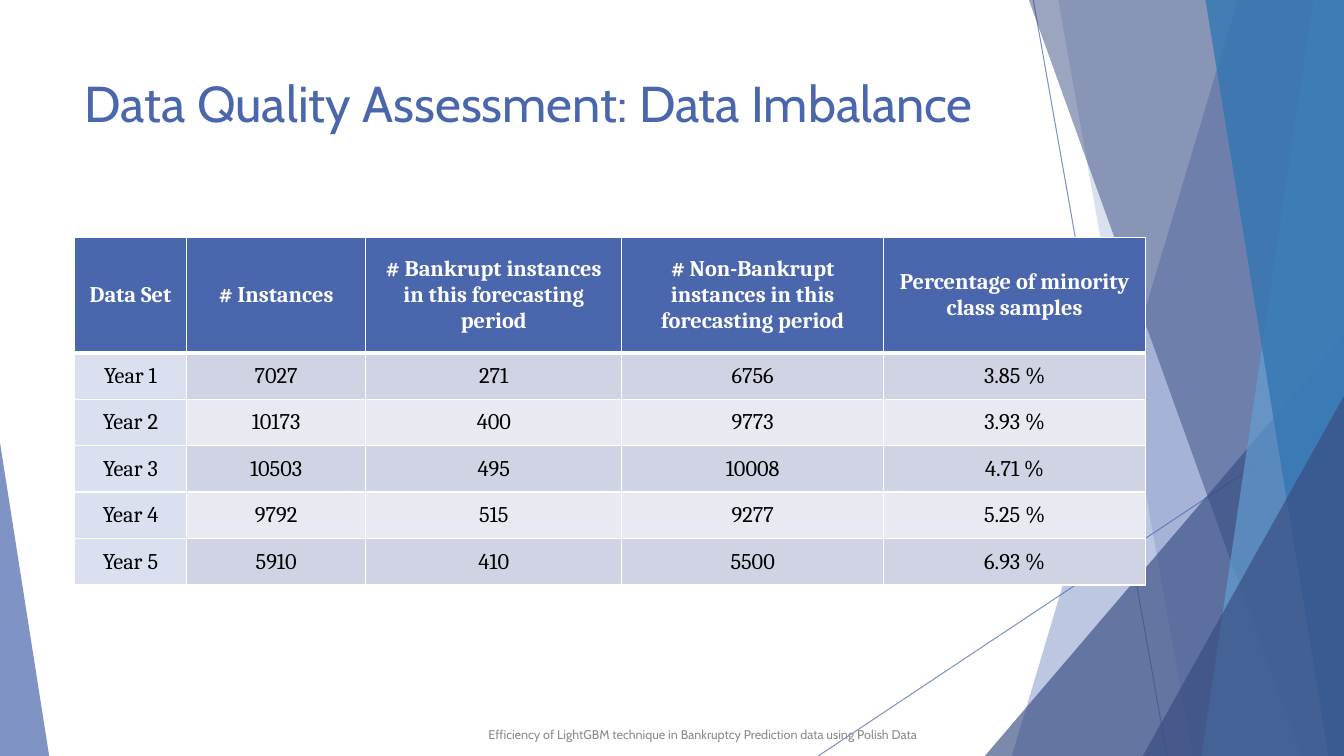
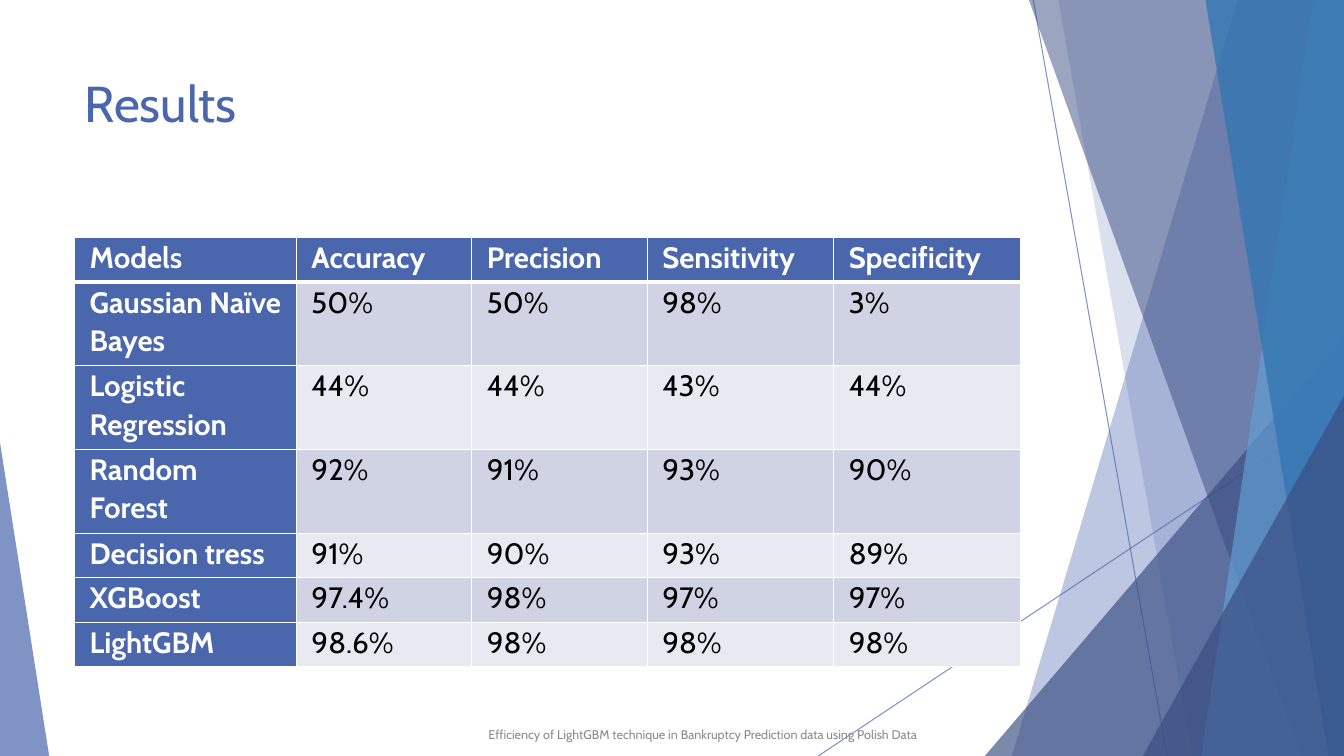
from lxml import etree
from pptx import Presentation
from pptx.dml.color import RGBColor
from pptx.enum.shapes import MSO_CONNECTOR, MSO_SHAPE
from pptx.enum.text import MSO_ANCHOR, MSO_AUTO_SIZE, PP_ALIGN
from pptx.oxml.ns import qn
from pptx.util import Cm, Pt

STRAIGHT = MSO_CONNECTOR.STRAIGHT
TRIANGLE = MSO_SHAPE.ISOSCELES_TRIANGLE
TOP, MIDDLE = MSO_ANCHOR.TOP, MSO_ANCHOR.MIDDLE
LEFT, CENTER = PP_ALIGN.LEFT, PP_ALIGN.CENTER

WHITE = RGBColor(0xFF, 0xFF, 0xFF)
BLACK = RGBColor(0x00, 0x00, 0x00)
GRAY = RGBColor(0x8C, 0x8C, 0x8C)
BLUE = RGBColor(0x4A, 0x66, 0xAC)
NAVY = RGBColor(0x38, 0x4C, 0x81)
SKY = RGBColor(0x62, 0x9D, 0xD1)
OCEAN = RGBColor(0x34, 0x77, 0xB2)
PALE = RGBColor(0xDA, 0xE0, 0xEF)
BAND_DARK = RGBColor(0xD0, 0xD3, 0xE3)
BAND_LIGHT = RGBColor(0xE9, 0xEA, 0xF1)

WIDTH, HEIGHT = 33.87, 19.05
MARGIN = 1.88
FOOTER = "Efficiency of LightGBM technique in Bankruptcy Prediction data using Polish Data"


def set_alpha(shape, percent):
    color = next(shape.element.iter(qn("a:srgbClr")))
    etree.SubElement(color, qn("a:alpha"), val=str(percent * 1000))


def set_borders(cell, top, bottom):
    """White borders; they must come before the cell's fill in the XML."""
    tcPr = cell._tc.get_or_add_tcPr()
    sides = [("a:lnL", 1), ("a:lnR", 1), ("a:lnT", top), ("a:lnB", bottom)]
    for i, (tag, width) in enumerate(sides):
        ln = etree.Element(qn(tag), w=str(Pt(width)))
        fill = etree.SubElement(ln, qn("a:solidFill"))
        etree.SubElement(fill, qn("a:srgbClr"), val=str(WHITE))
        tcPr.insert(i, ln)


# Slide contents
SLIDES = [
    dict(
        title="Data Quality Assessment: Data Imbalance", title_width=24.89,
        cols=[2.82, 4.52, 6.45, 6.6, 6.6], heights=[2.9] + [1.17] * 5,
        font="Cambria", size=16, align=CENTER, anchor=MIDDLE, spacing=None,
        margins=(0.25, 0.13), first_margins=(0.18, 0),
        first_fill=PALE, first_color=BLACK, first_bold=False,
        rows=[
            ["Data Set", "# Instances", "# Bankrupt instances in this forecasting period",
             "# Non-Bankrupt instances in this forecasting period",
             "Percentage of minority class samples"],
            ["Year 1", "7027", "271", "6756", "3.85 %"],
            ["Year 2", "10173", "400", "9773", "3.93 %"],
            ["Year 3", "10503", "495", "10008", "4.71 %"],
            ["Year 4", "9792", "515", "9277", "5.25 %"],
            ["Year 5", "5910", "410", "5500", "6.93 %"],
        ],
    ),
    dict(
        title="Results", title_width=23.88,
        cols=[5.59, 4.42, 4.42, 4.7, 4.7], heights=[1.12] + [2.11] * 3 + [1.12] * 3,
        font="Cabin", size=21, align=LEFT, anchor=TOP, spacing=1.07,
        margins=(0.38, 0), first_margins=(0.38, 0),
        first_fill=BLUE, first_color=WHITE, first_bold=True,
        rows=[
            ["Models", "Accuracy", "Precision", "Sensitivity", "Specificity"],
            ["Gaussian Naïve Bayes", "50%", "50%", "98%", "3%"],
            ["Logistic Regression", "44%", "44%", "43%", "44%"],
            ["Random Forest", "92%", "91%", "93%", "90%"],
            ["Decision tress", "91%", "90%", "93%", "89%"],
            ["XGBoost", "97.4%", "98%", "97%", "97%"],
            ["LightGBM", "98.6%", "98%", "98%", "98%"],
        ],
    ),
]

prs = Presentation()
prs.slide_width, prs.slide_height = Cm(WIDTH), Cm(HEIGHT)
layout = prs.slide_layouts[5]
for ph in list(layout.placeholders):
    if ph.placeholder_format.idx != 0:
        ph.element.getparent().remove(ph.element)
slides = [prs.slides.add_slide(layout) for _ in SLIDES]

# Facet background: drawn once, then moved into the layout
shapes = slides[0].shapes
facets = []
for x1, y1, x2, y2 in [(26.04, 0, 29.41, HEIGHT), (WIDTH, 10.24, 20.62, HEIGHT)]:
    line = shapes.add_connector(STRAIGHT, Cm(x1), Cm(y1), Cm(x2), Cm(y2))
    line.line.color.rgb = BLUE
    line.line.width = Pt(0.75)
    etree.SubElement(line.element.spPr, qn("a:effectLst"))
    set_alpha(line, 70)
    facets.append(line)

# Bands: (top x, bottom x); triangles: (left, top, width, apex)
for geometry, color, opacity in [
    ((31.19, 25.5), BLUE, 36),
    ((26.67, 30.05), BLUE, 20),
    ((24.82, 8.46, 9.05, 1), NAVY, 66),
    ((25.93, 32.79), NAVY, 50),
    ((33.1, 30.28), SKY, 70),
    ((30.38, 33.48), OCEAN, 80),
    ((28.8, 9.98, 5.07, 1), NAVY, 66),
    ((0, 11.15, 1.24, 0), BLUE, 70),
]:
    if len(geometry) == 2:
        top_x, bottom_x = geometry
        outline = shapes.build_freeform(Cm(top_x), 0)
        outline.add_line_segments([(Cm(WIDTH), 0), (Cm(WIDTH), Cm(HEIGHT)),
                                   (Cm(bottom_x), Cm(HEIGHT))])
        facet = outline.convert_to_shape()
    else:
        x, y, w, apex = geometry
        facet = shapes.add_shape(TRIANGLE, Cm(x), Cm(y), Cm(w), Cm(HEIGHT - y))
        facet.adjustments[0] = apex
    facet.shadow.inherit = False
    facet.fill.solid()
    facet.fill.fore_color.rgb = color
    facet.line.fill.background()
    set_alpha(facet, opacity)
    facets.append(facet)

for i, facet in enumerate(facets):
    layout.shapes.element.insert(2 + i, facet.element)

for s, data in zip(slides, SLIDES):
    # Title
    title = s.shapes.title
    title.left, title.top = Cm(MARGIN), Cm(1.7)
    title.width, title.height = Cm(data["title_width"]), Cm(3.66)
    tf = title.text_frame
    tf.text = data["title"]
    tf.auto_size = MSO_AUTO_SIZE.NONE
    tf.vertical_anchor = TOP
    p = tf.paragraphs[0]
    p.alignment = LEFT
    p.font.name, p.font.size = "Cabin", Pt(36)
    p.font.color.rgb = BLUE

    # Table
    cols, heights = data["cols"], data["heights"]
    table = s.shapes.add_table(len(heights), len(cols), Cm(MARGIN), Cm(5.99),
                               Cm(sum(cols)), Cm(sum(heights))).table
    for column, width in zip(table.columns, cols):
        column.width = Cm(width)
    for row, height in zip(table.rows, heights):
        row.height = Cm(height)
    for r, texts in enumerate(data["rows"]):
        for c, text in enumerate(texts):
            margins = data["margins"]
            if r == 0:
                fill, color, bold = BLUE, WHITE, True
            elif c == 0:
                fill, color, bold = data["first_fill"], data["first_color"], data["first_bold"]
                margins = data["first_margins"]
            else:
                fill, color, bold = BAND_DARK if r % 2 else BAND_LIGHT, BLACK, False
            cell = table.cell(r, c)
            cell.text = text
            cell.vertical_anchor = data["anchor"]
            cell.margin_left = cell.margin_right = Cm(margins[0])
            cell.margin_top = cell.margin_bottom = Cm(margins[1])
            cell.fill.solid()
            cell.fill.fore_color.rgb = fill
            set_borders(cell, 3 if r == 1 else 1, 3 if r == 0 else 1)
            p = cell.text_frame.paragraphs[0]
            p.alignment = data["align"]
            p.line_spacing = data["spacing"]
            p.font.name, p.font.size = data["font"], Pt(data["size"])
            p.font.bold = bold
            p.font.color.rgb = color

    # Footer
    tf = s.shapes.add_textbox(Cm(MARGIN), Cm(18.03), Cm(31.65), Cm(1.02)).text_frame
    tf.word_wrap = True
    tf.vertical_anchor = MIDDLE
    tf.text = FOOTER
    p = tf.paragraphs[0]
    p.alignment = CENTER
    p.line_spacing = 0.9
    p.space_after = Pt(6)
    p.font.name, p.font.size = "Cabin", Pt(9)
    p.font.color.rgb = GRAY

prs.save("out.pptx")
